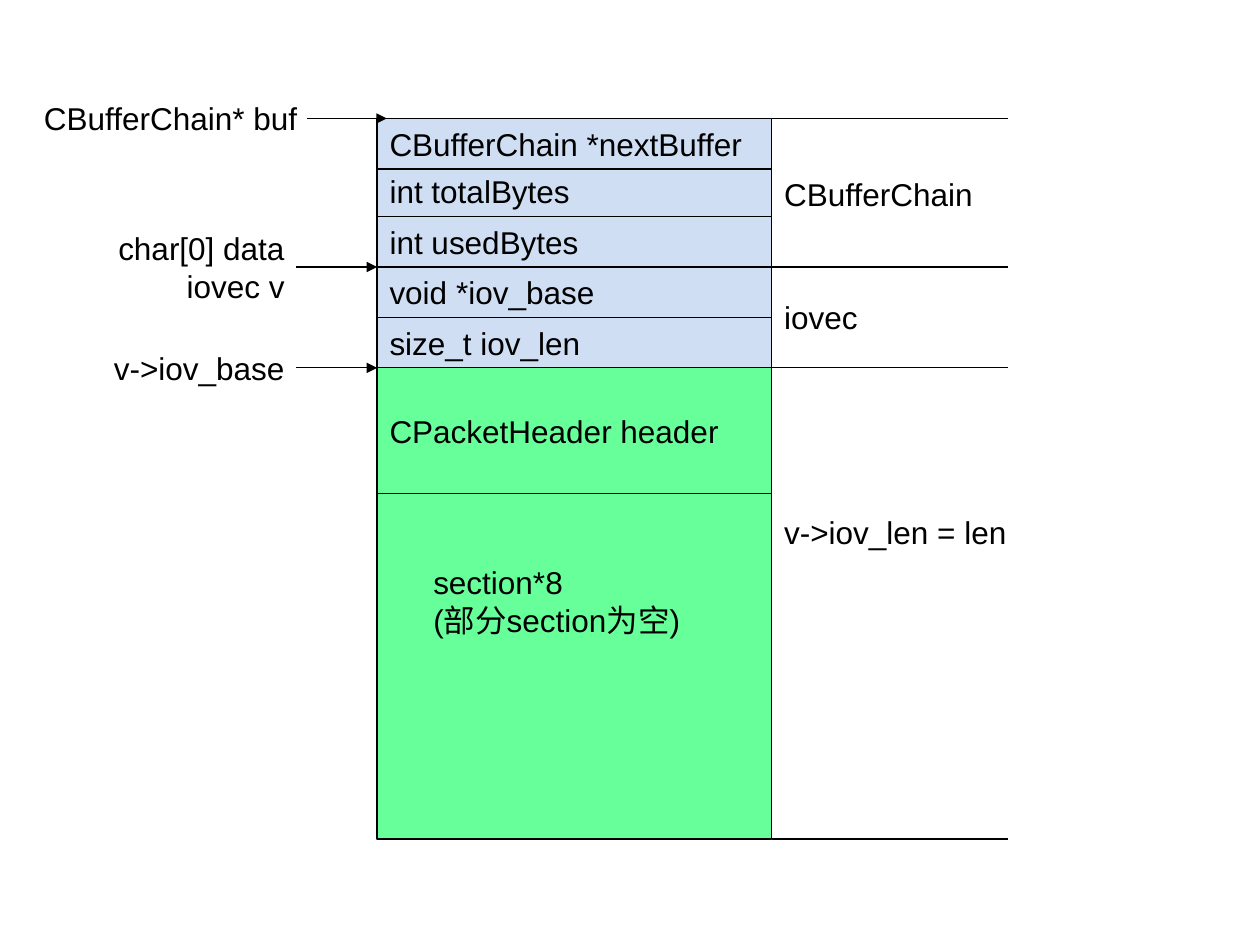
from pptx import Presentation
from pptx.util import Pt
from pptx.dml.color import RGBColor
from pptx.enum.shapes import MSO_SHAPE, MSO_CONNECTOR
from pptx.enum.text import PP_ALIGN, MSO_AUTO_SIZE
from pptx.oxml.ns import qn
from lxml.etree import SubElement


def color(code):
    return RGBColor.from_string(code)


def write(frame, text, font="Arial", size=18, ink="000000", align=PP_ALIGN.LEFT):
    frame.text = text
    for para in frame.paragraphs:
        para.alignment = align
        for run in para.runs:
            run.font.name = font
            run.font.size = Pt(size)
            run.font.color.rgb = color(ink)


class Canvas:
    ink = "000000"
    weight = 0.74

    def __init__(self, slide):
        self.shapes = slide.shapes

    def box(self, left, top, right, bottom, fill):
        shape = self.shapes.add_shape(
            MSO_SHAPE.RECTANGLE, Pt(left), Pt(top), Pt(right - left), Pt(bottom - top))
        shape.shadow.inherit = False
        shape.fill.solid()
        shape.fill.fore_color.rgb = color(fill)
        shape.line.color.rgb = color(self.ink)
        shape.line.width = Pt(self.weight)

    def label(self, text, left, top, width, height=28.8, **style):
        frame = self.shapes.add_textbox(
            Pt(left), Pt(top), Pt(width), Pt(height)).text_frame
        frame.word_wrap = True
        frame.auto_size = MSO_AUTO_SIZE.SHAPE_TO_FIT_TEXT
        write(frame, text, ink=self.ink, **style)

    def rule(self, start, end, y, arrow=False):
        line = self.shapes.add_connector(
            MSO_CONNECTOR.STRAIGHT, Pt(start), Pt(y), Pt(end), Pt(y))
        line.line.color.rgb = color(self.ink)
        line.line.width = Pt(self.weight)
        if arrow:
            SubElement(line.line._get_or_add_ln(), qn("a:tailEnd"), type="triangle")
        SubElement(line._element.spPr, qn("a:effectLst"))


deck = Presentation()
deck.slide_width, deck.slide_height = Pt(720), Pt(540)
canvas = Canvas(deck.slides.add_slide(deck.slide_layouts[6]))

LEFT, RIGHT, EDGE = 215.5, 441, 576
TOP, NEXT, USED, VEC, SIZE, DATA, BODY, END = (
    67.7, 96.5, 123.8, 152.6, 181.4, 210.2, 282.2, 479.5)

canvas.box(LEFT, TOP, RIGHT, DATA, "CFDEF3")
canvas.box(LEFT, DATA, RIGHT, END, "66FF99")

for y in (NEXT, USED, VEC, SIZE, DATA, BODY):
    canvas.rule(LEFT, RIGHT, y)
for y in (TOP, VEC, DATA, END):
    canvas.rule(RIGHT, EDGE, y)
for start, end, y in ((175.7, 221, TOP), (169.2, LEFT, VEC), (169.2, LEFT, DATA)):
    canvas.rule(start, end, y, arrow=True)

fields = (
    ("CBufferChain *nextBuffer", TOP),
    ("int totalBytes", 95),
    ("int usedBytes", USED),
    ("void *iov_base", VEC),
    ("size_t iov_len", SIZE),
    ("CPacketHeader header", 232),
)
for text, y in fields:
    canvas.label(text, LEFT, y, 262.8)
canvas.label("section*8\n(部分section为空)", 240.5, 318.2, 165, 72)

for text, y in (("CBufferChain", NEXT), ("iovec", 167), ("v->iov_len = len", 289.4)):
    canvas.label(text, RIGHT, y, 150.5)

canvas.label("CBufferChain* buf", 18, 53.3, 180.7)
for text, y, height in (("char[0] data\niovec v", 127.4, 50.4), ("v->iov_base", 195.8, 28.8)):
    canvas.label(text, 39, y, 130.7, height, align=PP_ALIGN.RIGHT)

deck.save("out.pptx")
